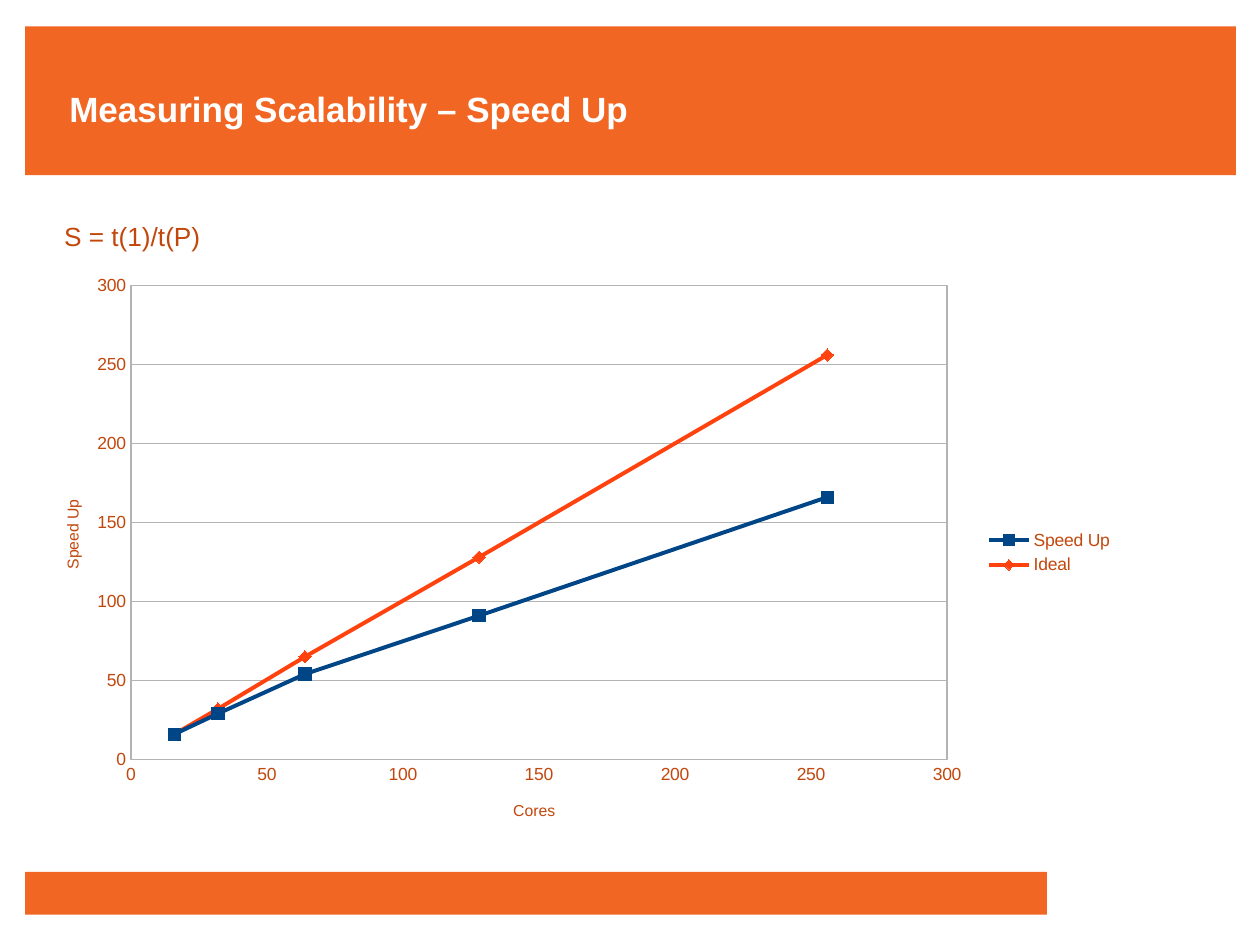
from lxml import etree
from pptx import Presentation
from pptx import util as u
from pptx.chart.data import XyChartData
from pptx.dml.color import RGBColor
from pptx.enum import chart as ch, shapes, text
from pptx.oxml import parse_xml
from pptx.oxml.ns import qn

ORANGE = RGBColor(0xF1, 0x66, 0x23)
RUST = RGBColor(0xC2, 0x47, 0x0C)
WHITE = RGBColor(0xFF, 0xFF, 0xFF)
GREY = RGBColor(0xB3, 0xB3, 0xB3)
NAVY = RGBColor(0x00, 0x45, 0x86)
RED = RGBColor(0xFF, 0x42, 0x0E)
FONT = "Arial"
CHART_NS = "http://schemas.openxmlformats.org/drawingml/2006/chart"

deck = Presentation()
deck.slide_width, deck.slide_height = u.Inches(10), u.Inches(7.5)
page = deck.slides.add_slide(deck.slide_layouts[6])


def write(words, at, size, color, bold=False, anchor=text.MSO_ANCHOR.TOP, inset=0.1):
    box = page.shapes.add_textbox(*map(u.Inches, at))
    frame = box.text_frame
    frame.word_wrap = True
    frame.vertical_anchor = anchor
    frame.margin_left = frame.margin_right = u.Inches(inset)
    para = frame.paragraphs[0]
    para.line_spacing, para.space_before = u.Pt(20), u.Pt(4)
    span = para.add_run()
    span.text = words
    span.font.name, span.font.size, span.font.bold = FONT, u.Pt(size), bold
    span.font.color.rgb = color


def place(element, index, target=None, **shares):
    """Fix a chart part at shares of the chart's size; index is the layout's child position."""
    for old in element.findall(qn("c:layout")):
        element.remove(old)
    layout = etree.SubElement(element, qn("c:layout"))
    manual = etree.SubElement(layout, qn("c:manualLayout"))
    if target:
        etree.SubElement(manual, qn("c:layoutTarget")).set("val", target)
    for side in ("x", "y"):
        etree.SubElement(manual, qn(f"c:{side}Mode")).set("val", "edge")
    for side, share in shares.items():
        etree.SubElement(manual, qn(f"c:{side}")).set("val", str(share))
    element.insert(index, layout)


# Header and footer bands
for band in ((0.2, 0.21, 9.61, 1.18), (0.2, 6.92, 8.11, 0.34)):
    box = page.shapes.add_shape(shapes.MSO_SHAPE.RECTANGLE, *map(u.Inches, band))
    box.shadow.inherit = False
    box.fill.solid()
    box.fill.fore_color.rgb = ORANGE
    box.line.fill.background()

write("Measuring Scalability – Speed Up", (0.51, 0.33, 8.98, 0.75), 20, WHITE,
      bold=True, anchor=text.MSO_ANCHOR.BOTTOM, inset=0.04)
write("S = t(1)/t(P)", (0.41, 1.67, 8.18, 0.4), 15, RUST)

# Speed-up chart
cores = (16, 32, 64, 128, 256)
series_styles = (
    ("Speed Up", (16, 29, 54, 91, 166), NAVY, ch.XL_MARKER_STYLE.SQUARE),
    ("Ideal", (16, 32, 65, 128, 256), RED, ch.XL_MARKER_STYLE.DIAMOND),
)
data = XyChartData()
for name, speeds, _, _ in series_styles:
    series = data.add_series(name)
    for count, speed in zip(cores, speeds):
        series.add_data_point(count, speed)

chart = page.shapes.add_chart(ch.XL_CHART_TYPE.XY_SCATTER_LINES,
                              *map(u.Inches, (0.21, 2.1, 8.73, 4.6)), data).chart
chart.has_title = False
chart.font.name, chart.font.size = FONT, u.Pt(10)
chart.font.color.rgb = RUST
chart.plots[0].vary_by_categories = False

for series, (_, _, color, marker) in zip(chart.plots[0].series, series_styles):
    series.smooth = False
    series.format.line.color.rgb = color
    series.format.line.width = u.Pt(2.27)
    series.marker.style, series.marker.size = marker, 7
    series.marker.format.fill.solid()
    series.marker.format.fill.fore_color.rgb = color
    series.marker.format.line.fill.background()

for axis, name, left, top in ((chart.category_axis, "Cores", 0.44, 0.92),
                              (chart.value_axis, "Speed Up", 0.03, 0.4)):
    axis.minimum_scale, axis.maximum_scale, axis.major_unit = 0, 300, 50
    axis.major_tick_mark = axis.minor_tick_mark = ch.XL_TICK_MARK.NONE
    axis.has_major_gridlines = axis is chart.value_axis or name == "Speed Up"
    axis.format.line.color.rgb = GREY
    axis.format.line.width = u.Pt(0.75)
    axis.tick_labels.font.size = u.Pt(10)
    axis.tick_labels.font.color.rgb = RUST
    span = axis.axis_title.text_frame.paragraphs[0].add_run()
    span.text = name
    span.font.name, span.font.size, span.font.bold = FONT, u.Pt(9), False
    span.font.color.rgb = RUST
    place(axis.axis_title._element, 1, x=left, y=top)

grid_line = chart.value_axis.major_gridlines.format.line
grid_line.color.rgb, grid_line.width = GREY, u.Pt(0.75)

chart.has_legend = True
chart.legend.position = ch.XL_LEGEND_POSITION.RIGHT
chart.legend.include_in_layout = False
chart.legend.font.size = u.Pt(10)
chart.legend.font.color.rgb = RUST
place(chart.legend._element, 1, x=0.87, y=0.45)

plot_area = chart._chartSpace.chart.plotArea
place(plot_area, 0, target="inner", x=0.095, y=0.036, w=0.742, h=0.818)
plot_area.append(parse_xml(
    f'<c:spPr xmlns:c="{CHART_NS}" xmlns:a="http://schemas.openxmlformats.org/drawingml/2006/main">'
    f'<a:noFill/><a:ln w="{u.Pt(0.75)}"><a:solidFill><a:srgbClr val="{GREY}"/></a:solidFill></a:ln>'
    '</c:spPr>'))

deck.save("out.pptx")
